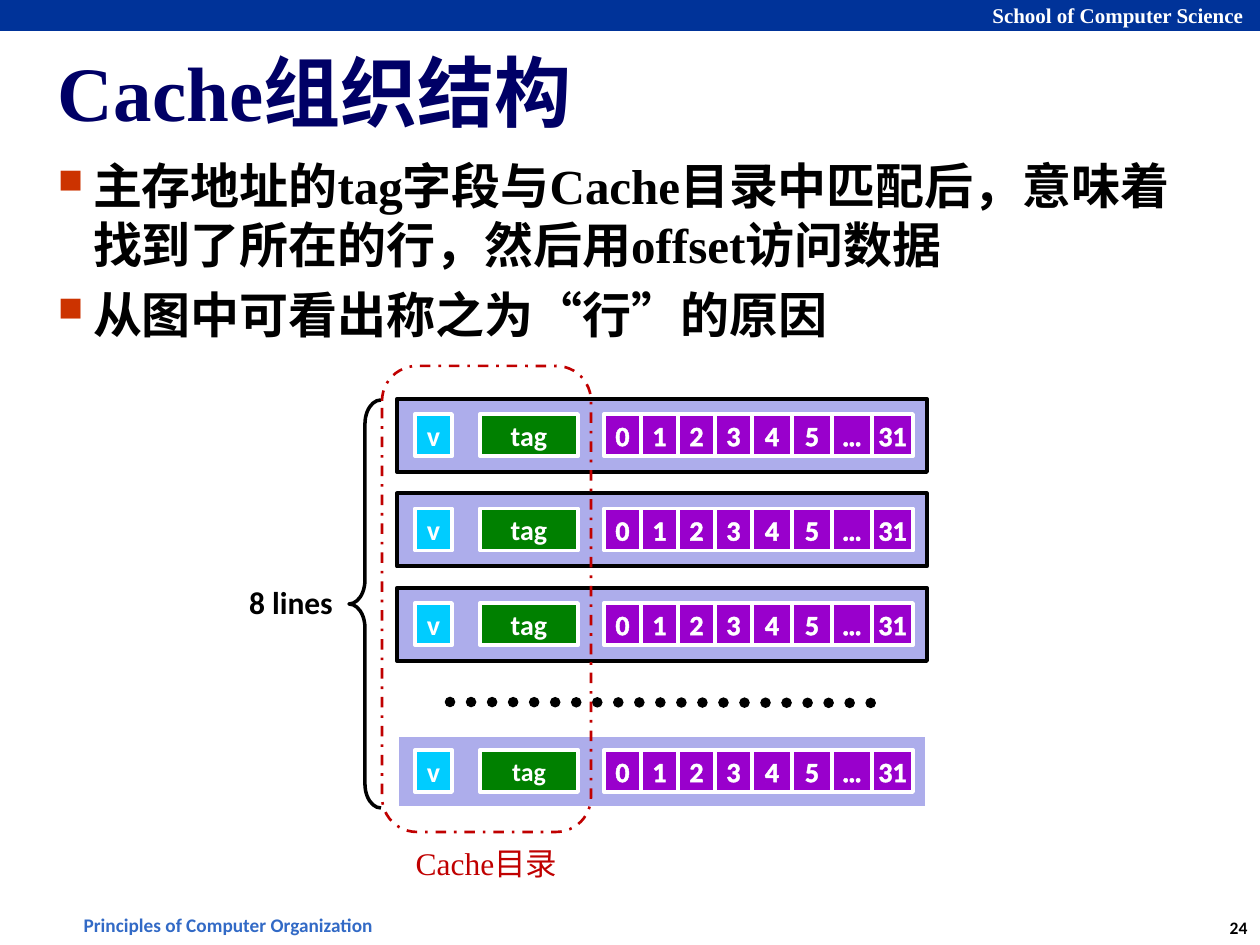
from itertools import accumulate

from lxml.etree import SubElement
from pptx import Presentation
from pptx.dml.color import RGBColor
from pptx.enum.dml import MSO_LINE as Dash
from pptx.enum.shapes import MSO_CONNECTOR as Link, MSO_SHAPE as Shape
from pptx.enum.text import MSO_ANCHOR as Anchor, MSO_AUTO_SIZE as Fit, PP_ALIGN as Align
from pptx.oxml import parse_xml
from pptx.oxml.ns import nsdecls, qn
from pptx.util import Pt

PX = 914400 / 126
SERIF, SANS = "Times New Roman", "Calibri"
HUES = {
    "bar": "003399", "title": "000066", "foot": "326AC6", "bullet": "CC3300",
    "black": "000000", "white": "FFFFFF", "line": "ADADEB", "valid": "00CCFF",
    "tag": "008000", "data": "9900CC", "red": "C00000",
}
BYTES = ["0", "1", "2", "3", "4", "5", "…", "31"]
WIDTHS = [37] * 4 + [40] * 3 + [41]


def emu(*nums):
    return [round(n * PX) for n in nums]


def rgb(hue):
    return RGBColor.from_string(HUES[hue])


def text(shape, *lines, size=16, font=SANS, hue="white", bold=True, align=Align.CENTER,
         anchor=Anchor.TOP, wrap=False, inset=None, bullet=False, edge=False):
    frame = shape.text_frame
    frame.auto_size = Fit.NONE
    frame.word_wrap = wrap
    frame.vertical_anchor = anchor
    if inset is not None:
        frame.margin_left, frame.margin_top, frame.margin_right, frame.margin_bottom = emu(*[inset] * 4)
    for i, line in enumerate(lines):
        para = frame.add_paragraph() if i else frame.paragraphs[0]
        para.alignment = align
        if bullet:
            mark(para)
        if i:
            para.space_before = Pt(6)
        run = para.add_run()
        run.text = line
        run.font.size, run.font.name, run.font.bold = Pt(size), font, bold
        run.font.color.rgb = rgb(hue)
        if edge:
            run.font._element.insert(0, parse_xml(
                f'<a:ln {nsdecls("a")} w="9525"><a:solidFill>'
                f'<a:srgbClr val="{HUES[hue]}"/></a:solidFill></a:ln>'))


def mark(para):
    """Give a paragraph a square bullet with a hanging indent."""
    props = para._p.get_or_add_pPr()
    indent, = emu(35)
    props.set("marL", str(indent))
    props.set("indent", str(-indent))
    color = SubElement(props, qn("a:buClr"))
    SubElement(color, qn("a:srgbClr"), val=HUES["bullet"])
    SubElement(props, qn("a:buSzPct"), val="70000")
    SubElement(props, qn("a:buChar"), char="■")


def label(slide, box, *lines, **style):
    text(slide.shapes.add_textbox(*emu(*box)), *lines, **style)


def draw(slide, kind, box, fill=None, line=None, width=2.25):
    shape = slide.shapes.add_shape(kind, *emu(*box))
    shape.shadow.inherit = False
    if fill:
        shape.fill.solid()
        shape.fill.fore_color.rgb = rgb(fill)
    else:
        shape.fill.background()
    if line:
        shape.line.color.rgb = rgb(line)
        shape.line.width = Pt(width)
    else:
        shape.line.fill.background()
    return shape


def cell(slide, box, word, fill, **style):
    shape = draw(slide, Shape.RECTANGLE, box, fill, "white")
    text(shape, word, anchor=Anchor.MIDDLE, **style)


def frame(slide, wide, high):
    """Draw the top bar and the footer."""
    draw(slide, Shape.RECTANGLE, (0, 0, wide, 31), "bar")
    label(slide, (980, -4, 278, 38), "School of Computer Science", size=12, font=SERIF,
          align=Align.LEFT)
    label(slide, (69, high - 38, 323, 37), "Principles of Computer Organization ",
          size=11, hue="foot")
    label(slide, (wide - 45, high - 34, 47, 34), "24", size=10, hue="black")


def prose(slide, x, y, wide):
    title = slide.shapes.title
    title.left, title.top, title.width, title.height = emu(x, y, wide, 112)
    style = dict(font=SERIF, align=Align.LEFT, wrap=True, inset=5)
    text(title, "Cache组织结构", size=44, hue="title", anchor=Anchor.MIDDLE, **style)
    label(slide, (x, y + 116, wide, 200),
          "主存地址的tag字段与Cache目录中匹配后，意味着找到了所在的行，然后用offset访问数据",
          "从图中可看出称之为“行”的原因", size=28, hue="black", bullet=True, **style)


def row(slide, x, y, edge="black", size=16):
    """Draw one cache line: valid bit, tag and data bytes."""
    draw(slide, Shape.RECTANGLE, (x, y, 530, 73), "line", edge)
    top, high = y + 15, 42
    cell(slide, (x + 18, top, 37, high), "v", "valid")
    cell(slide, (x + 83, top, 98, high), "tag", "tag", size=size)
    lefts = accumulate(WIDTHS, initial=x + 207)
    for left, wide, word in zip(lefts, WIDTHS, BYTES):
        cell(slide, (left, top, wide, high), word, "data", edge=True)


def dots(slide, x, y, wide):
    line = slide.shapes.add_connector(Link.STRAIGHT, *emu(x, y, x + wide, y + 1))
    line.line.color.rgb = rgb("black")
    line.line.width = Pt(6)
    line.line.dash_style = Dash.ROUND_DOT
    line.line._get_or_add_ln().set("cap", "rnd")
    SubElement(line._element.spPr, qn("a:effectLst"))


def cache(slide, x, y):
    """Draw the stack of lines, its brace and the directory outline."""
    brace = draw(slide, Shape.LEFT_BRACE, (x - 48, y + 1, 32, 408), line="black", width=2)
    brace.adjustments[0], brace.adjustments[1] = 0.75, 0.5
    label(slide, (x - 161, y + 178, 110, 50), "8 lines", size=18, hue="black")
    dots(slide, x + 53, y + 303, 431)
    for i in range(3):
        row(slide, x, y + i * 94.5)
    row(slide, x, y + 336, edge="white", size=14.8)
    group = draw(slide, Shape.ROUNDED_RECTANGLE, (x - 15, y - 33, 209, 466),
                 line="red", width=1.5)
    group.adjustments[0] = 0.167
    group.line.dash_style = Dash.DASH_DOT
    label(slide, (x + 5, y + 439, 169, 50), "Cache目录", size=18, font=SERIF,
          hue="red", bold=False, wrap=True)


def main():
    deck = Presentation()
    wide, high = 1260, 945
    deck.slide_width, deck.slide_height = emu(wide, high)
    slide = deck.slides.add_slide(deck.slide_layouts[5])
    frame(slide, wide, high)
    prose(slide, 53, 35, 1155)
    cache(slide, 397, 399)
    deck.save("out.pptx")


if __name__ == "__main__":
    main()
